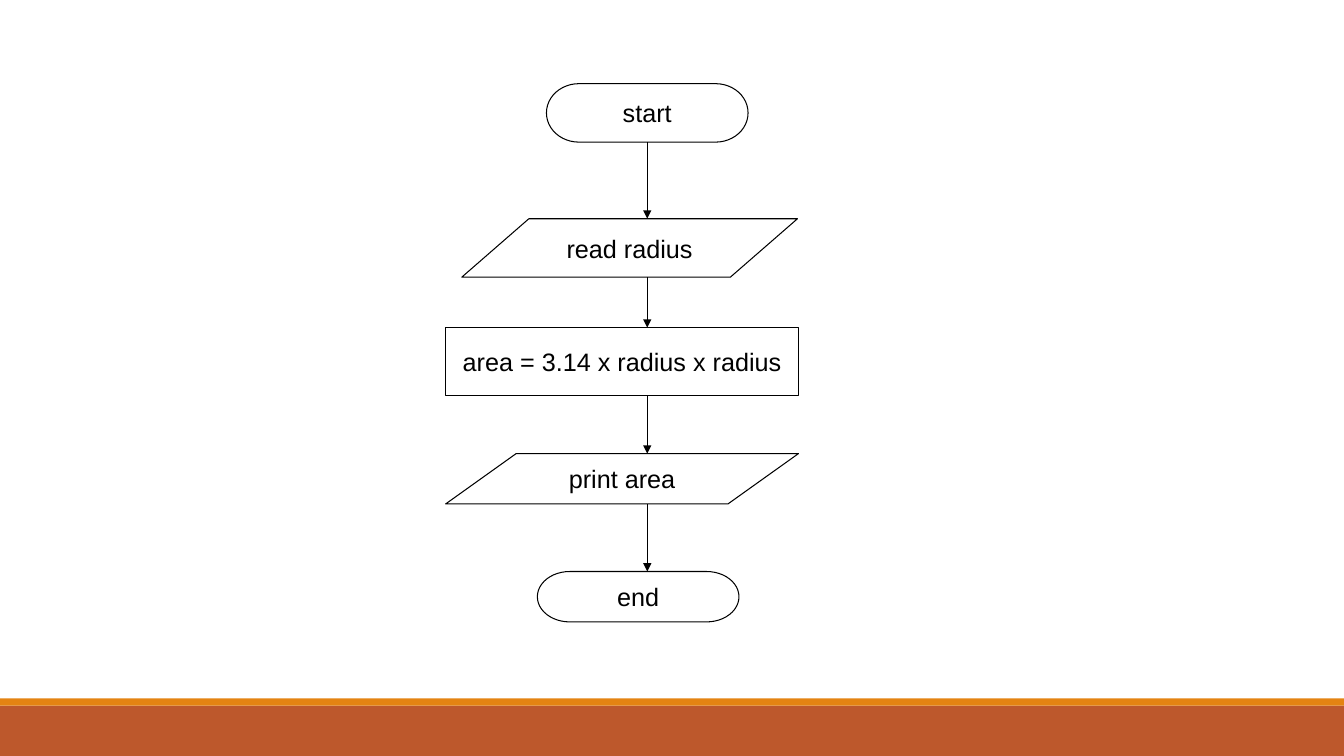
from itertools import pairwise

from lxml import etree
from pptx import Presentation
from pptx.dml.color import RGBColor
from pptx.enum.shapes import MSO_CONNECTOR, MSO_SHAPE
from pptx.enum.text import MSO_ANCHOR, PP_ALIGN
from pptx.oxml.ns import qn
from pptx.util import Inches, Pt

BAR = MSO_SHAPE.RECTANGLE
TERMINATOR = MSO_SHAPE.FLOWCHART_TERMINATOR
DATA = MSO_SHAPE.FLOWCHART_DATA
PROCESS = MSO_SHAPE.FLOWCHART_PROCESS
STRAIGHT = MSO_CONNECTOR.STRAIGHT
MIDDLE = MSO_ANCHOR.MIDDLE
CENTER = PP_ALIGN.CENTER

WIDTH, HEIGHT = 13.33, 7.5
BLACK, WHITE = "000000", "FFFFFF"
FLOW_X = 6.42
BOTTOM = 2

# kind, left, top, width, height, label
STEPS = [
    (TERMINATOR, 5.42, 0.83, 2, 0.58, "start"),
    (DATA, 4.58, 2.17, 3.33, 0.58, "read radius"),
    (PROCESS, 4.42, 3.25, 3.5, 0.67, "area = 3.14 x radius x radius"),
    (DATA, 4.42, 4.5, 3.5, 0.5, "print area"),
    (TERMINATOR, 5.33, 5.67, 2, 0.5, "end"),
]


def rgb(color):
    return RGBColor.from_string(color)


def add_box(s, kind, left, top, width, height, fill, line=None):
    sp = s.shapes.add_shape(kind, Inches(left), Inches(top), Inches(width), Inches(height))
    sp.shadow.inherit = False
    sp.fill.solid()
    sp.fill.fore_color.rgb = rgb(fill)
    if line:
        sp.line.color.rgb = rgb(line)
        sp.line.width = Pt(0.75)
    else:
        sp.line.fill.background()
    return sp


def set_text(sp, text, size=18, font="Arial", color=BLACK, align=CENTER):
    tf = sp.text_frame
    tf.word_wrap = False
    tf.vertical_anchor = MIDDLE
    p = tf.paragraphs[0]
    p.alignment = align
    r = p.add_run()
    r.text = text
    r.font.size = Pt(size)
    r.font.name = font
    r.font.color.rgb = rgb(color)


def add_step(s, kind, left, top, width, height, label):
    sp = add_box(s, kind, left, top, width, height, WHITE, BLACK)
    set_text(sp, label)
    return sp


def add_arrow(s, upper, lower):
    """Draw a vertical arrow on the flow line, joined where it leaves a side's middle."""
    x = Inches(FLOW_X)
    c = s.shapes.add_connector(STRAIGHT, x, upper.top + upper.height, x, lower.top)
    if upper.left + upper.width // 2 == x:
        c.begin_connect(upper, BOTTOM)
    c.line.color.rgb = rgb(BLACK)
    c.line.width = Pt(0.75)
    etree.SubElement(c.line._get_or_add_ln(), qn("a:tailEnd"), type="triangle")
    etree.SubElement(c._element.spPr, qn("a:effectLst"))


def main():
    prs = Presentation()
    prs.slide_width, prs.slide_height = Inches(WIDTH), Inches(HEIGHT)
    s = prs.slides.add_slide(prs.slide_layouts[6])
    add_box(s, BAR, 0, 7, WIDTH, 0.5, "BD582C")
    add_box(s, BAR, 0, 6.93, WIDTH, 0.07, "E48312")
    steps = [add_step(s, *step) for step in STEPS]
    for upper, lower in pairwise(steps):
        add_arrow(s, upper, lower)
    prs.save("out.pptx")


if __name__ == "__main__":
    main()
